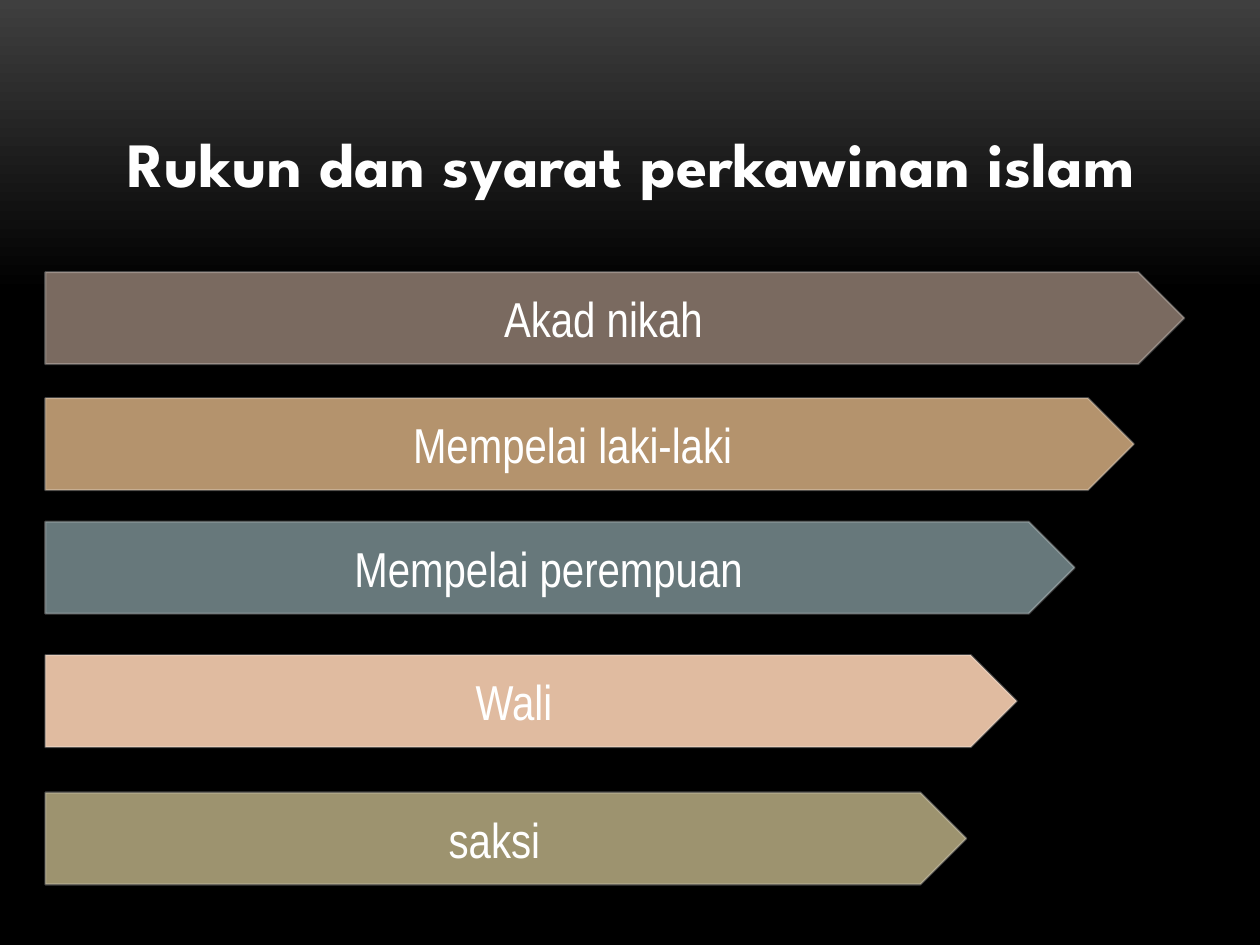
from lxml.etree import SubElement
from pptx import Presentation
from pptx.dml.color import RGBColor
from pptx.enum.shapes import MSO_SHAPE
from pptx.enum.text import MSO_ANCHOR, MSO_AUTO_SIZE, PP_ALIGN
from pptx.oxml.ns import qn
from pptx.util import Inches, Pt

WHITE = RGBColor(0xFF, 0xFF, 0xFF)
BLACK = RGBColor(0x00, 0x00, 0x00)
CHARCOAL = RGBColor(0x3F, 0x3F, 0x3F)
BROWN = RGBColor(0x7A, 0x6A, 0x60)
TAN = RGBColor(0xB4, 0x93, 0x6D)
SLATE = RGBColor(0x67, 0x78, 0x7B)
PEACH = RGBColor(0xE0, 0xBB, 0xA0)
OLIVE = RGBColor(0x9D, 0x93, 0x6F)

ARROWS = [
    ("Akad nikah", 2.16, 9.04, BROWN),
    ("Mempelai laki-laki ", 3.16, 8.64, TAN),
    ("Mempelai perempuan", 4.14, 8.17, SLATE),
    ("Wali ", 5.2, 7.71, PEACH),
    ("saksi", 6.29, 7.31, OLIVE),
]


class SlideBuilder:
    """Holds the style and the slide being built."""

    title_font = "League Spartan"
    label_font = "Arial Narrow"
    arrow_left = Inches(0.36)
    arrow_height = Inches(0.73)

    def __init__(self, presentation):
        self.slide = presentation.slides.add_slide(presentation.slide_layouts[5])

    def background(self):
        fill = self.slide.background.fill
        fill.gradient()
        fill.gradient_angle = 270
        stops = zip(fill.gradient_stops, [(0, CHARCOAL), (0.31, BLACK)])
        for stop, (position, color) in stops:
            stop.position = position
            stop.color.rgb = color

    def set_text(self, paragraph, text, font_name, size):
        paragraph.text = text
        paragraph.alignment = PP_ALIGN.CENTER
        paragraph.font.name = font_name
        paragraph.font.size = Pt(size)
        paragraph.font.color.rgb = WHITE

    def title(self, text):
        title = self.slide.shapes.title
        title.left, title.top = Inches(0.39), Inches(0.31)
        title.width, title.height = Inches(9.25), Inches(1.33)
        frame = title.text_frame
        frame.auto_size = MSO_AUTO_SIZE.NONE
        frame.vertical_anchor = MSO_ANCHOR.BOTTOM
        paragraph = frame.paragraphs[0]
        self.set_text(paragraph, text, self.title_font, 36)
        paragraph.font.bold = True
        paragraph.space_after = Pt(6)
        paragraph.runs[0]._r.get_or_add_rPr().set("spc", "30")

    def arrow(self, text, top, width, color):
        shape = self.slide.shapes.add_shape(
            MSO_SHAPE.PENTAGON, self.arrow_left, Inches(top), Inches(width), self.arrow_height
        )
        shape.shadow.inherit = False
        shape.fill.solid()
        shape.fill.fore_color.rgb = color
        shape.line.width = Pt(1.2)
        shape.line.color.rgb = WHITE
        outline = shape.element.spPr.find(qn("a:ln"))
        line_color = outline.find(".//" + qn("a:srgbClr"))
        SubElement(line_color, qn("a:alpha")).set("val", "25000")
        frame = shape.text_frame
        frame.vertical_anchor = MSO_ANCHOR.MIDDLE
        self.set_text(frame.paragraphs[0], text, self.label_font, 28)


def main():
    presentation = Presentation()
    presentation.slide_width = Inches(10)
    presentation.slide_height = Inches(7.5)
    builder = SlideBuilder(presentation)
    builder.background()
    builder.title("Rukun dan syarat perkawinan islam")
    for arrow in ARROWS:
        builder.arrow(*arrow)
    presentation.save("out.pptx")


if __name__ == "__main__":
    main()
